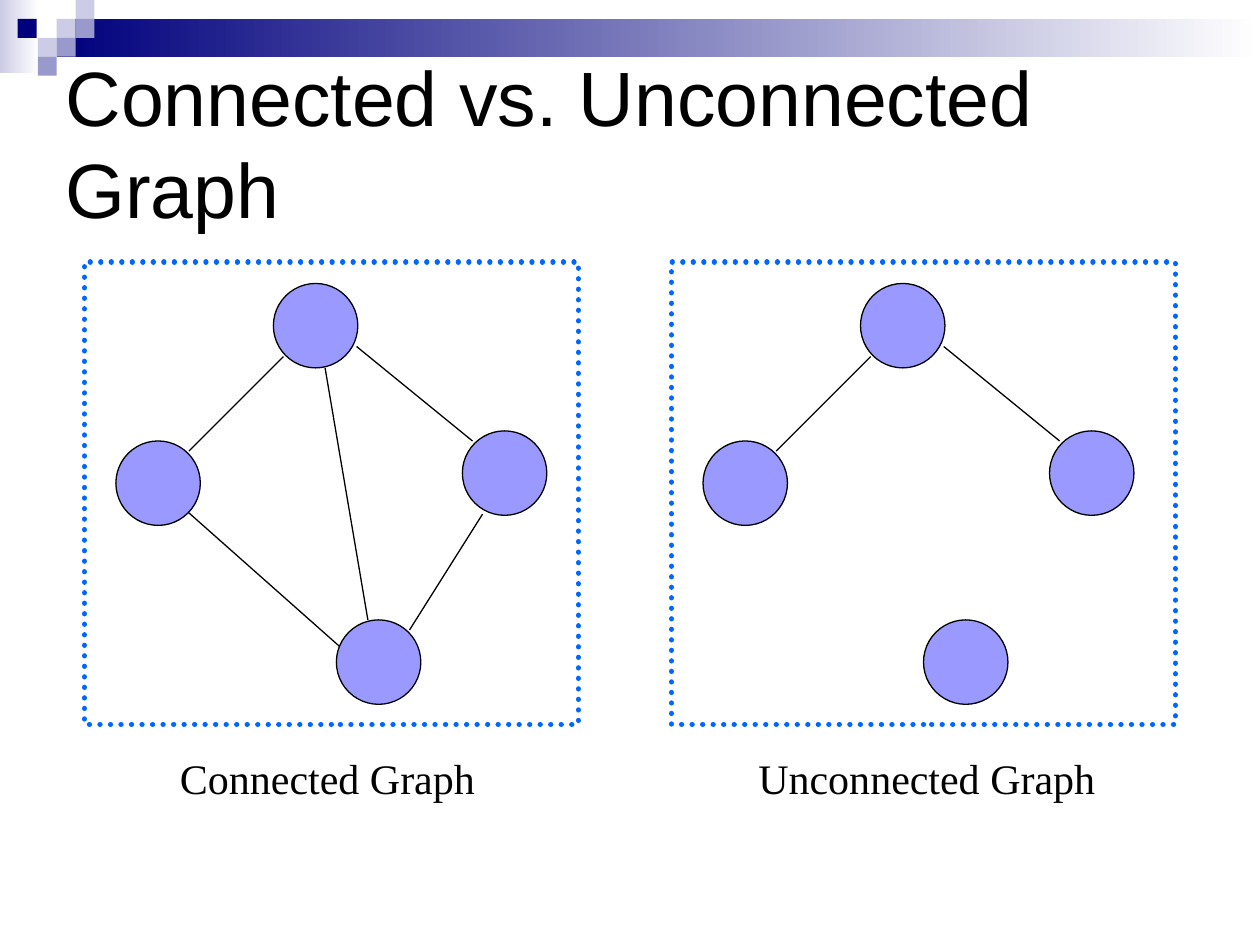
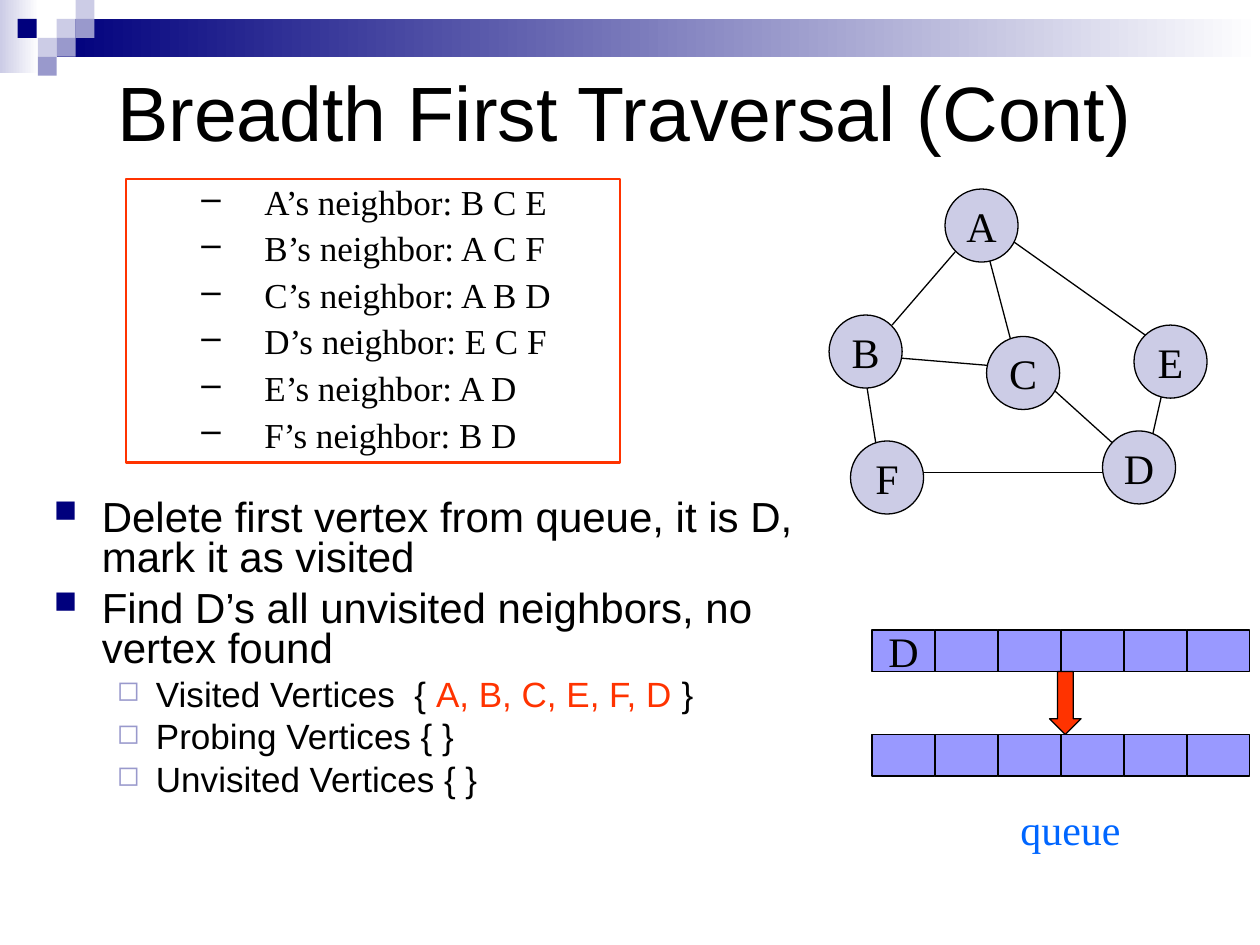
from dataclasses import dataclass

from lxml.etree import SubElement
from pptx import Presentation
from pptx.dml.color import RGBColor
from pptx.enum.dml import MSO_LINE
from pptx.enum.shapes import MSO_CONNECTOR, MSO_SHAPE
from pptx.enum.text import MSO_ANCHOR, MSO_AUTO_SIZE, PP_ALIGN
from pptx.oxml.ns import qn
from pptx.util import Inches, Pt


@dataclass(frozen=True)
class Theme:
    ink: str = "000000"
    paper: str = "FFFFFF"
    navy: str = "00007D"
    mist: str = "CCCCE6"
    lavender: str = "9999CC"
    periwinkle: str = "9999FF"
    blue: str = "0066FF"
    red: str = "FF3300"
    sans: str = "Arial"
    serif: str = "Times New Roman"
    title_size: int = 44
    text_size: int = 24
    detail_size: int = 20
    thin: float = 0.75


@dataclass(frozen=True)
class Bullet:
    mark: str
    color: str
    percent: int
    margin: float
    hanging: float
    level: int


THEME = Theme()
VERTEX_BULLET = Bullet("■", THEME.navy, 75, 0.38, 0.38, 0)
STATE_BULLET = Bullet("◻", THEME.lavender, 80, 0.81, 0.31, 1)
NEIGHBOR_BULLET = Bullet("–", THEME.ink, 100, 1, 0.5, 1)
TILE = 0.15
TILES = [
    (0.45, 0.15, THEME.mist), (0.6, 0, THEME.mist), (0.6, 0.15, THEME.lavender),
    (0.3, 0.3, THEME.mist), (0.14, 0.15, THEME.navy),
    (0.45, 0.3, THEME.lavender), (0.3, 0.45, THEME.lavender),
]

GRAPH_SHIFT = 4.66
GRAPH_NODES = [(2.17, 2.25), (3.67, 3.42), (2.67, 4.92), (0.92, 3.5)]
UPPER_EDGES = [((2.25, 2.83), (1.5, 3.58)), ((2.83, 2.75), (3.75, 3.5))]
LOWER_EDGES = [
    ((1.42, 4), (2.83, 5.25)), ((3.25, 5), (3.83, 4.08)), ((2.58, 2.92), (2.92, 4.92)),
]

VERTICES = {
    "A": (7.5, 1.5), "B": (6.58, 2.5), "C": (7.83, 2.67),
    "E": (9, 2.58), "F": (6.75, 3.5), "D": (8.75, 3.42),
}
VERTEX_EDGES = [
    ((7, 2.83), (8.08, 2.92)), ((7.58, 2), (7.08, 2.58)),
    ((7.75, 1.67), (8.08, 2.92)), ((7.92, 1.83), (9.33, 2.83)),
    ((6.83, 2.75), (7, 3.83)), ((9.25, 3), (9.08, 3.75)),
    ((8.17, 2.92), (9, 3.67)), ((7.17, 3.75), (8.92, 3.75)),
]
NEIGHBORS = {"A": "B C E", "B": "A C F", "C": "A B D", "D": "E C F", "E": "A D", "F": "B D"}
QUEUE_LENGTH = 6


def rgb(color):
    return RGBColor.from_string(color)


def set_bullet(paragraph, bullet):
    properties = paragraph._p.get_or_add_pPr()
    properties.set("marL", str(Inches(bullet.margin)))
    properties.set("indent", str(-Inches(bullet.hanging)))
    color = SubElement(properties, qn("a:buClr"))
    SubElement(color, qn("a:srgbClr"), val=bullet.color)
    SubElement(properties, qn("a:buSzPct"), val=str(bullet.percent * 1000))
    SubElement(properties, qn("a:buChar"), char=bullet.mark)
    paragraph.level = bullet.level


def write(frame, text, *, font=THEME.serif, size=THEME.text_size, color=THEME.ink,
          align=PP_ALIGN.LEFT, bullet=None, spacing=None, before=0):
    first = not frame.text
    paragraph = frame.paragraphs[0] if first else frame.add_paragraph()
    if bullet:
        set_bullet(paragraph, bullet)
    paragraph.alignment = align
    paragraph.line_spacing = spacing
    paragraph.space_before = Pt(0 if first else before)
    pieces = [(text, color)] if isinstance(text, str) else text
    for words, ink in pieces:
        run = paragraph.add_run()
        run.text = words
        run.font.name = font
        run.font.size = Pt(size)
        run.font.color.rgb = rgb(ink)


def add_figure(slide, kind, left, top, width, height, fill=None, line=None, weight=THEME.thin):
    figure = slide.shapes.add_shape(
        kind, Inches(left), Inches(top), Inches(width), Inches(height))
    figure.shadow.inherit = False
    if fill:
        figure.fill.solid()
        figure.fill.fore_color.rgb = rgb(fill)
    else:
        figure.fill.background()
    if line:
        figure.line.color.rgb = rgb(line)
        figure.line.width = Pt(weight)
    else:
        figure.line.fill.background()
    return figure


def add_fade(slide, left, top, width, height, color):
    fade = add_figure(slide, MSO_SHAPE.RECTANGLE, left, top, width, height)
    fade.fill.gradient()
    fade.fill.gradient_angle = 180
    for stop, position, shade in zip(fade.fill.gradient_stops, (0, 1), (THEME.paper, color)):
        stop.position = position
        stop.color.rgb = rgb(shade)
    return fade


def add_banner(layout, slide):
    banner = [
        add_fade(slide, 0, 0, 0.31, 0.58, THEME.mist),
        add_fade(slide, 0.45, 0.15, 9.55, 0.3, THEME.navy),
    ]
    banner += [add_figure(slide, MSO_SHAPE.RECTANGLE, left, top, TILE, TILE, color)
               for left, top, color in TILES]
    for order, part in enumerate(banner):
        layout.shapes.element.insert(2 + order, part.element)


def add_title(slide, text, left, top, width):
    title = slide.shapes.title
    title.left, title.top = Inches(left), Inches(top)
    title.width, title.height = Inches(width), Inches(1.25)
    frame = title.text_frame
    frame.auto_size = MSO_AUTO_SIZE.NONE
    frame.vertical_anchor = MSO_ANCHOR.MIDDLE
    write(frame, text, font=THEME.sans, size=THEME.title_size)


def add_text_area(slide, left, top, width, height):
    area = slide.shapes.add_textbox(Inches(left), Inches(top), Inches(width), Inches(height))
    area.text_frame.word_wrap = True
    return area.text_frame


def add_edge(slide, start, end, shift=0):
    edge = slide.shapes.add_connector(
        MSO_CONNECTOR.STRAIGHT, Inches(start[0] + shift), Inches(start[1]),
        Inches(end[0] + shift), Inches(end[1]))
    edge.line.color.rgb = rgb(THEME.ink)
    edge.line.width = Pt(THEME.thin)
    SubElement(edge.element.spPr, qn("a:effectLst"))


def add_label(figure, text):
    frame = figure.text_frame
    frame.word_wrap = False
    frame.vertical_anchor = MSO_ANCHOR.MIDDLE
    write(frame, text, align=PP_ALIGN.CENTER)


def add_graph(slide, caption, caption_left, frame_left, frame_width, edges, shift):
    for start, end in edges:
        add_edge(slide, start, end, shift)
    for left, top in GRAPH_NODES:
        add_figure(slide, MSO_SHAPE.OVAL, left + shift, top, 0.67, 0.67,
                   THEME.periwinkle, THEME.ink)
    border = add_figure(slide, MSO_SHAPE.RECTANGLE, frame_left, 2.08, frame_width, 3.67,
                        line=THEME.blue, weight=3)
    border.line.dash_style = MSO_LINE.ROUND_DOT
    border.element.spPr.find(qn("a:ln")).set("cap", "rnd")
    write(add_text_area(slide, caption_left, 5.92, 3.5, 0.5), caption)


def add_queue(slide, top, items=()):
    for position in range(QUEUE_LENGTH):
        slot = add_figure(slide, MSO_SHAPE.RECTANGLE, 6.92 + 0.5 * position, top, 0.5, 0.33,
                          THEME.periwinkle, THEME.ink)
        if position < len(items):
            add_label(slot, items[position])


def add_neighbors(slide):
    panel = add_figure(slide, MSO_SHAPE.RECTANGLE, 1, 1.42, 3.92, 2.25,
                       line=THEME.red, weight=1.5)
    panel.text_frame.word_wrap = True
    panel.text_frame.vertical_anchor = MSO_ANCHOR.TOP
    for vertex, neighbors in NEIGHBORS.items():
        write(panel.text_frame, f"{vertex}’s neighbor: {neighbors}", size=THEME.detail_size,
              bullet=NEIGHBOR_BULLET, spacing=0.9, before=5)


def add_steps(slide):
    steps = add_text_area(slide, 0.33, 3.92, 6.5, 2.5)
    for step in ("Delete first vertex from queue, it is D, mark it as visited",
                 "Find D’s all unvisited neighbors, no vertex found"):
        write(steps, step, font=THEME.sans, bullet=VERTEX_BULLET, spacing=0.8, before=6)
    visited = [("Visited Vertices  { ", THEME.ink), ("A, B, C, E, F, D ", THEME.red),
               ("}", THEME.ink)]
    for state in (visited, "Probing Vertices { }", "Unvisited Vertices { }"):
        write(steps, state, font=THEME.sans, size=THEME.detail_size,
              bullet=STATE_BULLET, spacing=0.8, before=5)


def build_connectivity(slide):
    add_title(slide, "Connected vs. Unconnected Graph", 0.42, 0.5, 9.17)
    add_graph(slide, "Connected Graph", 1.33, 0.67, 3.92, UPPER_EDGES + LOWER_EDGES, 0)
    add_graph(slide, "Unconnected Graph", 5.92, 5.33, 4, UPPER_EDGES, GRAPH_SHIFT)


def build_traversal(slide):
    add_title(slide, "Breadth First Traversal (Cont)", 0.83, 0.25, 8.5)
    for start, end in VERTEX_EDGES:
        add_edge(slide, start, end)
    for name, (left, top) in VERTICES.items():
        vertex = add_figure(slide, MSO_SHAPE.OVAL, left, top, 0.58, 0.58,
                            THEME.mist, THEME.ink)
        add_label(vertex, name)
    add_neighbors(slide)
    add_steps(slide)
    add_queue(slide, 5, ["D"])
    add_queue(slide, 5.83)
    add_figure(slide, MSO_SHAPE.DOWN_ARROW, 8.33, 5.33, 0.25, 0.5, THEME.red, THEME.ink)
    write(add_text_area(slide, 8, 6.33, 1.33, 0.5), "queue", color=THEME.blue)


def main():
    deck = Presentation()
    deck.slide_width, deck.slide_height = Inches(10), Inches(7.5)
    title_only = deck.slide_layouts[5]
    connectivity = deck.slides.add_slide(title_only)
    add_banner(title_only, connectivity)
    build_connectivity(connectivity)
    build_traversal(deck.slides.add_slide(title_only))
    deck.save("out.pptx")


if __name__ == "__main__":
    main()
